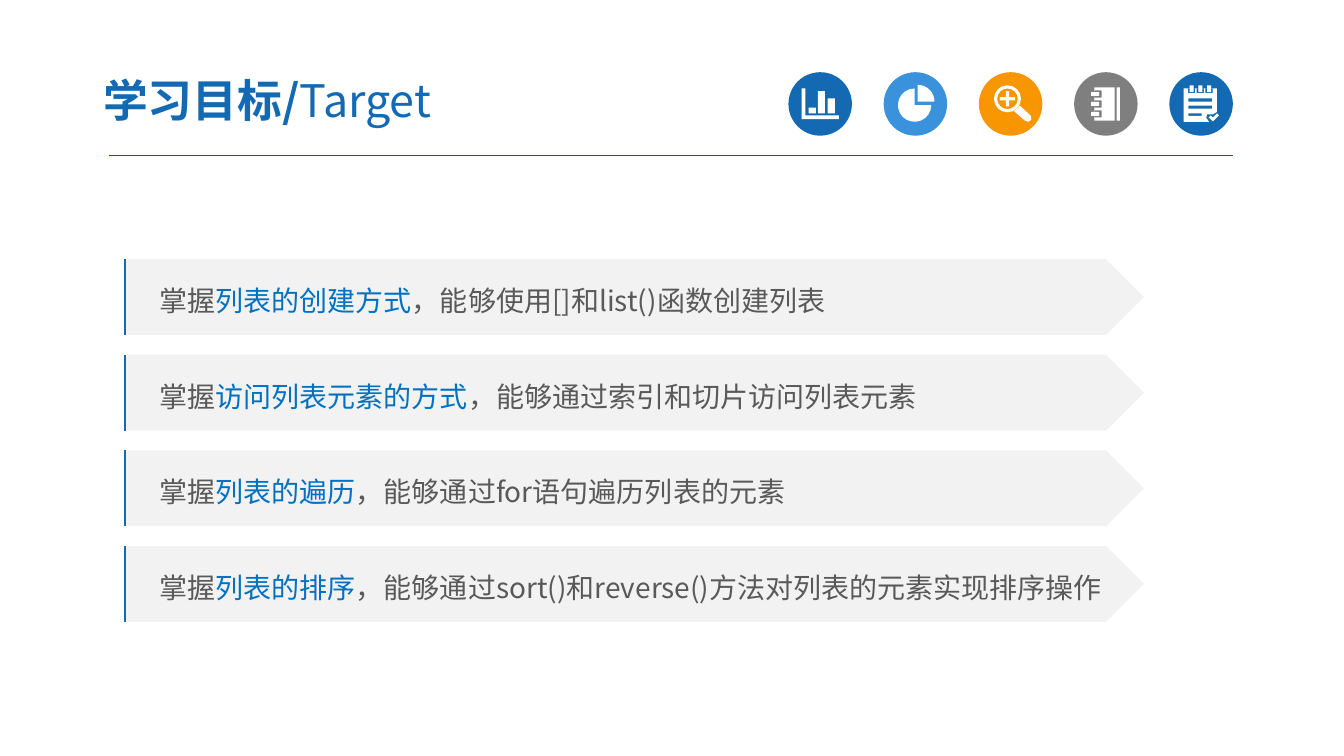
"""Build the learning-targets slide with a header icon row and four arrow bars."""
from math import cos, radians, sin
from lxml.etree import SubElement
from pptx import Presentation
from pptx.dml.color import RGBColor
from pptx.enum.shapes import MSO_CONNECTOR, MSO_SHAPE as MS
from pptx.enum.text import MSO_ANCHOR, MSO_AUTO_SIZE, PP_ALIGN
from pptx.oxml.ns import qn
from pptx.util import Cm, Pt

FONT = "Noto Sans CJK SC"
BLUE, SKY, ORANGE, GRAY, WHITE = "1369B2", "3992DB", "F79600", "7F7F7F", "FFFFFF"
rgb = RGBColor.from_string


def add_run(p, text, size=20, color="595959", bold=False):
    r = p.add_run()
    r.text = text
    r.font.size, r.font.bold, r.font.name = Pt(size), bold, FONT
    r.font.color.rgb = rgb(color)
    SubElement(r._r.get_or_add_rPr(), qn("a:ea"), typeface=FONT)


def paint(sp, color):
    sp.shadow.inherit = False
    sp.fill.solid()
    sp.fill.fore_color.rgb = rgb(color)
    sp.line.fill.background()


prs = Presentation()
prs.slide_width, prs.slide_height = Cm(33.87), Cm(19.05)
s = prs.slides.add_slide(prs.slide_layouts[5])

title = s.shapes.title
title.left, title.top, title.width, title.height = Cm(2.27), Cm(1.6), Cm(13.26), Cm(1.83)
tf = title.text_frame
tf.auto_size, tf.vertical_anchor = MSO_AUTO_SIZE.NONE, MSO_ANCHOR.MIDDLE
tf.margin_left = tf.margin_right = Cm(0.33)
tf.margin_top = tf.margin_bottom = Cm(0.18)
p = tf.paragraphs[0]
p.alignment = PP_ALIGN.LEFT
add_run(p, "学习目标/", size=32, color=BLUE, bold=True)
add_run(p, "Target", size=32, color=BLUE)

# Outlines: 4 numbers are a box, 5 numbers an arc, a list of pairs a polygon.
bar_chart = [
    [(0.33, 0.41), (0.43, 0.41), (0.43, 1.09), (1.27, 1.09), (1.27, 1.18), (0.33, 1.18)],
    (0.51, 0.89, 0.18, 0.15), (0.74, 0.48, 0.18, 0.56), (0.99, 0.66, 0.18, 0.38),
]
pie_chart = [(0.78, 0.83, 0.42, 0, 270), (0.86, 0.74, 0.42, 270, 90)]
magnifier = [
    (0.72, 0.67, 0.34, 0, 360), (0.72, 0.67, 0.26, 0, 360),
    [(1.03, 0.84), (1.31, 1.1), (1.32, 1.2), (1.24, 1.25), (1.16, 1.22), (0.88, 0.98),
     (0.97, 0.92)],
    [(0.53, 0.63), (0.68, 0.63), (0.68, 0.48), (0.76, 0.48), (0.76, 0.63), (0.91, 0.63),
     (0.91, 0.71), (0.76, 0.71), (0.76, 0.86), (0.68, 0.86), (0.68, 0.71), (0.53, 0.71)],
]
notebook = [(0.51, 0.38, 0.51, 0.84), (1.07, 0.38, 0.08, 0.84)]
for y in (0.5, 0.75, 1.0):
    notebook += [(0.51, y - 0.04, 0.18, 0.18), (0.43, y, 0.2, 0.1)]
notepad = [
    [(0.36, 0.41), (1.2, 0.41), (1.2, 1), (1.1, 1.06), (0.95, 1.06), (0.93, 1.15),
     (1, 1.25), (0.36, 1.25)],
    [(0.99, 1.14), (1.04, 1.09), (1.1, 1.14), (1.2, 1.04), (1.25, 1.09), (1.1, 1.24)],
    (0.48, 0.66, 0.6, 0.08), (0.48, 0.84, 0.6, 0.08), (0.48, 1.04, 0.33, 0.06),
]
for x in (0.51, 0.73, 0.95):
    notepad += [(x - 0.04, 0.41, 0.18, 0.12), (x, 0.33, 0.1, 0.17)]

icons = [(BLUE, bar_chart), (SKY, pie_chart), (ORANGE, magnifier),
         (GRAY, notebook), (BLUE, notepad)]
icon_top = 1.82
for i, (color, outlines) in enumerate(icons):
    icon_left = 19.87 + 2.4 * i
    disc = s.shapes.add_shape(MS.OVAL, Cm(icon_left), Cm(icon_top), Cm(1.6), Cm(1.6))
    paint(disc, color)
    fb = None
    for outline in outlines:
        if len(outline) == 4 and isinstance(outline, tuple):
            x, y, w, h = outline
            outline = [(x, y), (x + w, y), (x + w, y + h), (x, y + h)]
        elif isinstance(outline, tuple):
            cx, cy, radius, start, sweep = outline
            angles = [radians(start + sweep * n / 16) for n in range(17)]
            outline = [(cx + radius * cos(a), cy + radius * sin(a)) for a in angles]
            if sweep < 360:
                outline.append((cx, cy))
        points = [(Cm(icon_left + x), Cm(icon_top + y)) for x, y in outline]
        if fb is None:
            fb = s.shapes.build_freeform(*points[0])
        else:
            fb.move_to(*points[0])
        fb.add_line_segments(points[1:])
    paint(fb.convert_to_shape(), WHITE)

targets = [
    ("列表的创建方式", "，能够使用[]和list()函数创建列表"),
    ("访问列表元素的方式", "，能够通过索引和切片访问列表元素"),
    ("列表的遍历", "，能够通过for语句遍历列表的元素"),
    ("列表的排序", "，能够通过sort()和reverse()方法对列表的元素实现排序操作"),
]
rules = [(2.75, 3.93, 31.07, 3.93, "005B9E", 0.75)]
for i, (topic, skill) in enumerate(targets):
    top = 6.53 + 2.41 * i
    bar = s.shapes.add_shape(MS.PENTAGON, Cm(3.13), Cm(top), Cm(25.7), Cm(1.91))
    paint(bar, "F2F2F2")
    tf = bar.text_frame
    tf.word_wrap, tf.vertical_anchor = True, MSO_ANCHOR.MIDDLE
    p = tf.paragraphs[0]
    p.alignment, p.line_spacing = PP_ALIGN.LEFT, 1.2
    p._p.get_or_add_pPr().set("indent", str(Cm(0.64)))
    add_run(p, "掌握")
    add_run(p, topic, color="0070C0")
    add_run(p, skill)
    rules.append((3.15, top, 3.15, top + 1.91, BLUE, 1.5))

for x1, y1, x2, y2, color, width in rules:
    line = s.shapes.add_connector(MSO_CONNECTOR.STRAIGHT, Cm(x1), Cm(y1), Cm(x2), Cm(y2))
    line.line.color.rgb = rgb(color)
    line.line.width = Pt(width)
    SubElement(line._element.spPr, qn("a:effectLst"))

prs.save("out.pptx")
